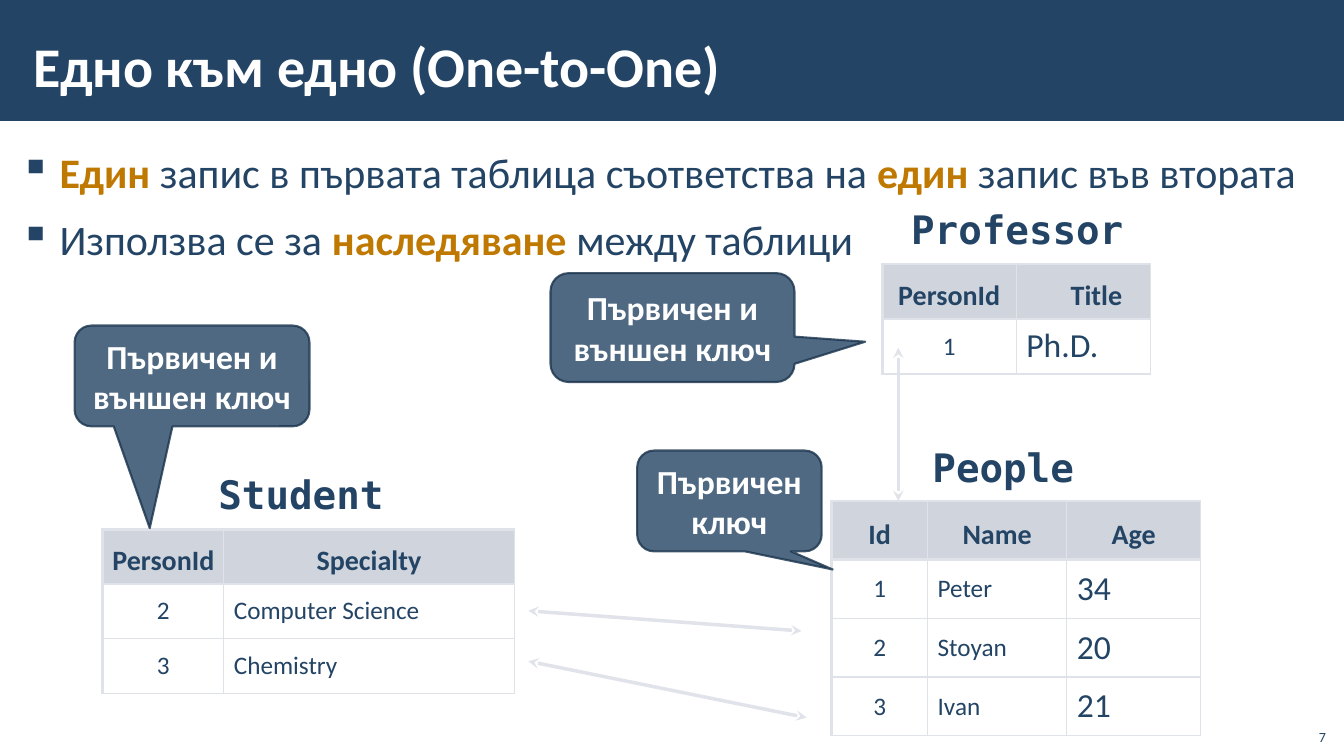
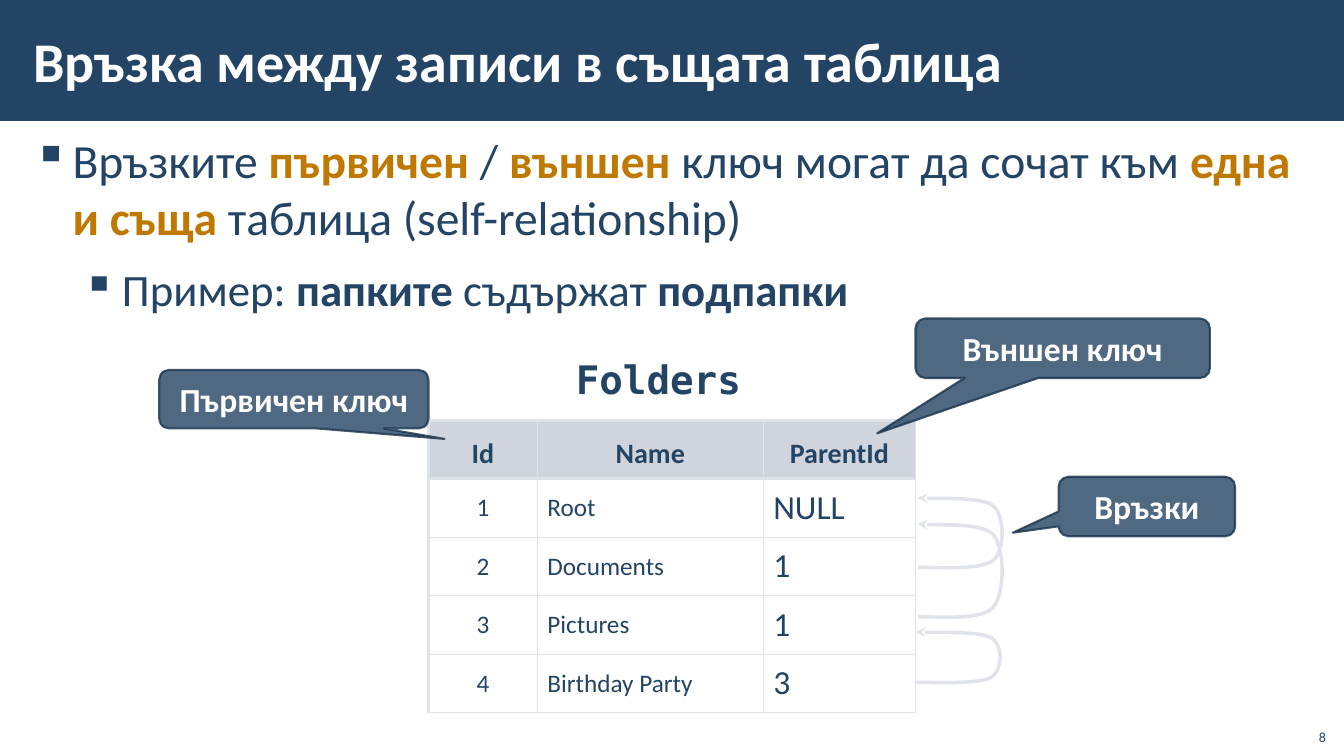
from dataclasses import dataclass

from lxml.etree import SubElement
from pptx import Presentation
from pptx.dml.color import RGBColor
from pptx.enum.shapes import MSO_CONNECTOR, MSO_SHAPE
from pptx.enum.text import MSO_ANCHOR, MSO_AUTO_SIZE, PP_ALIGN
from pptx.oxml.ns import qn
from pptx.util import Inches, Pt


@dataclass(frozen=True)
class Theme:
    navy: str = "234465"
    outline: str = "1A334C"
    gold: str = "BF7800"
    white: str = "FFFFFF"
    header: str = "D0D4DC"
    border: str = "DFE2E9"
    arrow: str = "E0E3E9"
    font: str = "Calibri"
    mono: str = "DejaVu Sans Mono"
    title: int = 40
    label: int = 28
    callout: int = 24
    heading: int = 20
    cell: int = 18
    large_cell: int = 24
    number: int = 10
    thin: float = 1
    thick: float = 2.25
    arrow_width: float = 2.5


THEME = Theme()


@dataclass(frozen=True)
class Column:
    heading: str
    width: float
    size: int = THEME.cell
    indent: float = 0


GOLD = {"bold": True, "color": THEME.gold}
BOLD = {"bold": True}
BOTH_KEYS = "Първичен и външен ключ"
PRIMARY_KEY = "Първичен ключ"
PLACEHOLDER_MARGINS = (0.12, 0.04, 0.12, 0.04)
BOX_MARGINS = (0.1, 0.05, 0.1, 0.05)

SLIDES = [
    {
        "number": 7,
        "title": ("Едно към едно (One-to-One)", (0.21, 0.16, 10.63, 0.97)),
        "body": (0.08, 1.41, 13.42, 6.09),
        # level, size, spans
        "bullets": [
            (0, 30, [("Един", GOLD), (" запис в първата таблица съответства на ", {}),
                     ("един", GOLD), (" запис във втората", {})]),
            (0, 30, [("Използва се за ", {}), ("наследяване", GOLD), (" между таблици", {})]),
        ],
        "arrows": [((5.24, 6.56), (8, 7.12)), ((5.24, 6.06), (7.95, 6.26)),
                   ((8.91, 4.97), (8.91, 3.45))],
        "loops": [],
        "tables": [
            {
                "name": ("People", (8.91, 4.4, 2.08, 0.53)),
                "at": (8.25, 4.97), "height": 2.33,
                "columns": [Column("Id", 0.95), Column("Name", 1.38),
                            Column("Age", 1.33, THEME.large_cell)],
                "rows": [("1", "Peter", "34"), ("2", "Stoyan", "20"), ("3", "Ivan", "21")],
            },
            {
                "name": ("Student", (2.02, 4.67, 1.93, 0.53)),
                "at": (1.02, 5.25), "height": 1.63,
                "columns": [Column("PersonId", 1.2), Column("Specialty", 2.88)],
                "rows": [("2", "Computer Science"), ("3", "Chemistry")],
            },
            {
                "name": ("Professor", (8.91, 2.04, 2.36, 0.53)),
                "at": (8.75, 2.62), "height": 1.09,
                "columns": [Column("PersonId", 1.33),
                            Column("Title", 1.33, THEME.large_cell, 0.26)],
                "rows": [("1", "Ph.D.")],
            },
        ],
        # text, place, pointer offset as a share of the size
        "callouts": [
            (PRIMARY_KEY, (6.32, 4.47, 1.83, 1), (0.56, 0.68)),
            (BOTH_KEYS, (5.46, 2.71, 2.42, 1.08), (0.79, 0.13)),
            (BOTH_KEYS, (0.74, 3.23, 2.33, 1), (-0.18, 1.51)),
        ],
    },
    {
        "number": 8,
        "title": ("Връзка между записи в същата таблица", (0.21, 0.11, 11.23, 0.97)),
        "body": (0.21, 1.26, 12.91, 6.09),
        "bullets": [
            (0, 34, [("Връзките ", {}), ("първичен", GOLD), (" / ", {}), ("външен", GOLD),
                     (" ключ могат да сочат към ", {}), ("една и съща", GOLD),
                     (" таблица (self-relationship)", {})]),
            (1, 32, [("Пример: ", {}), ("папките", BOLD), (" съдържат ", {}),
                     ("подпапки", BOLD)]),
        ],
        "arrows": [],
        # left, top, height
        "loops": [(9.1, 5.2, 0.92), (9.1, 4.94, 0.69), (9.08, 6.27, 0.5)],
        "tables": [
            {
                "name": ("Folders", (5.49, 3.53, 2.08, 0.53)),
                "at": (4.25, 4.17), "height": 2.9,
                "columns": [Column("Id", 1.08), Column("Name", 2.24),
                            Column("ParentId", 1.51, THEME.large_cell)],
                "rows": [("1", "Root", "NULL"), ("2", "Documents", "1"),
                         ("3", "Pictures", "1"), ("4", "Birthday Party", "3")],
            },
        ],
        "callouts": [
            (PRIMARY_KEY, (1.58, 3.67, 2.67, 0.58), (0.56, 0.68)),
            ("Външен ключ", (9.08, 3.16, 2.92, 0.59), (-0.63, 1.43)),
            ("Връзки", (10.5, 4.73, 1.75, 0.59), (-0.76, 0.44)),
        ],
    },
]

# Bezier pieces: x in inches, y as a share of the loop's height
LOOP_CURVES = [
    ((0.01, 1), (0.13, 0.99), (0.62, 1.05), (0.75, 0.9)),
    ((0.75, 0.9), (0.87, 0.75), (0.87, 0.26), (0.75, 0.11)),
    ((0.75, 0.11), (0.62, -0.03), (0.16, 0.02), (0, 0)),
]
CURVE_STEPS = 12


def inches(values):
    return [Inches(value) for value in values]


def rgb(color):
    return RGBColor.from_string(color)


def write(para, spans, size, color=THEME.navy, bold=False, font=THEME.font,
          align=PP_ALIGN.LEFT):
    """Fill a paragraph with a string or with (text, format) spans."""
    para.alignment = align
    for text, style in [(spans, {})] if isinstance(spans, str) else spans:
        span = para.add_run()
        span.text = text
        span.font.name = font
        span.font.size = Pt(size)
        span.font.bold = style.get("bold", bold)
        span.font.color.rgb = rgb(style.get("color", color))


def set_frame(frame, margins=BOX_MARGINS, anchor=MSO_ANCHOR.TOP, fit=MSO_AUTO_SIZE.NONE):
    frame.word_wrap = True
    frame.auto_size = fit
    frame.vertical_anchor = anchor
    (frame.margin_left, frame.margin_top,
     frame.margin_right, frame.margin_bottom) = inches(margins)


def add_text(page, place, **frame_format):
    frame = page.shapes.add_textbox(*inches(place)).text_frame
    set_frame(frame, **frame_format)
    return frame


def add_band(page, layout, width):
    """Put the title band on the layout, behind everything else."""
    band = page.shapes.add_shape(MSO_SHAPE.RECTANGLE, 0, 0, width, Inches(1.2))
    band.shadow.inherit = False
    band.fill.solid()
    band.fill.fore_color.rgb = rgb(THEME.navy)
    band.line.fill.background()
    layout.shapes.element.insert(2, band.element)


def set_title(page, text, place):
    title = page.shapes.title
    title.left, title.top, title.width, title.height = inches(place)
    set_frame(title.text_frame, PLACEHOLDER_MARGINS, MSO_ANCHOR.MIDDLE)
    write(title.text_frame.paragraphs[0], text, THEME.title, THEME.white, bold=True)


def add_bullets(page, place, bullets):
    frame = add_text(page, place, margins=PLACEHOLDER_MARGINS)
    for index, (level, size, spans) in enumerate(bullets):
        para = frame.add_paragraph() if index else frame.paragraphs[0]
        para.level = level
        properties = para._p.get_or_add_pPr()
        properties.set("marL", str(Inches(0.39 + 0.49 * level)))
        properties.set("indent", str(Inches(-0.39)))
        color = SubElement(properties, qn("a:buClr"))
        SubElement(color, qn("a:srgbClr"), val=THEME.navy)
        SubElement(properties, qn("a:buChar"), char="▪")
        para.space_before = Pt(6 if index else 0)
        para.space_after = Pt(6)
        write(para, spans, size)


def style_arrow(line, *ends):
    line.color.rgb = rgb(THEME.arrow)
    line.width = Pt(THEME.arrow_width)
    for end in ends:
        SubElement(line._get_or_add_ln(), qn(f"a:{end}"), type="stealth")


def add_arrow(page, start, finish):
    arrow = page.shapes.add_connector(MSO_CONNECTOR.STRAIGHT, *inches(start + finish))
    style_arrow(arrow.line, "headEnd", "tailEnd")
    SubElement(arrow.element.spPr, qn("a:effectLst"))


def bezier(points, t):
    weights = ((1 - t) ** 3, 3 * t * (1 - t) ** 2, 3 * t * t * (1 - t), t ** 3)
    return [sum(w * point[axis] for w, point in zip(weights, points)) for axis in (0, 1)]


def add_loop(page, left, top, height):
    steps = [LOOP_CURVES[0][0]] + [bezier(curve, step / CURVE_STEPS) for curve in LOOP_CURVES
                                   for step in range(1, CURVE_STEPS + 1)]
    points = [inches((left + x, top + y * height)) for x, y in steps]
    builder = page.shapes.build_freeform(*points[0])
    builder.add_line_segments(points[1:], close=False)
    loop = builder.convert_to_shape()
    loop.shadow.inherit = False
    loop.fill.background()
    style_arrow(loop.line, "tailEnd")


def set_borders(cell, **widths):
    properties = cell._tc.get_or_add_tcPr()
    for index, side in enumerate("LRTB"):
        line = properties.makeelement(qn(f"a:ln{side}"), {"w": str(Pt(widths[side]))})
        fill = SubElement(line, qn("a:solidFill"))
        SubElement(fill, qn("a:srgbClr"), val=THEME.border)
        properties.insert(index, line)


def add_grid(page, name, at, height, columns, rows):
    label, place = name
    para = add_text(page, place, fit=MSO_AUTO_SIZE.SHAPE_TO_FIT_TEXT).paragraphs[0]
    para.line_spacing = 0.9
    write(para, label, THEME.label, bold=True, font=THEME.mono, align=PP_ALIGN.CENTER)

    width = sum(column.width for column in columns)
    lines = [[column.heading for column in columns], *rows]
    grid = page.shapes.add_table(len(lines), len(columns),
                                 *inches((*at, width, height))).table
    grid.first_row = grid.horz_banding = False
    for column, grid_column in zip(columns, grid.columns):
        grid_column.width = Inches(column.width)
    for row, texts in enumerate(lines):
        grid.rows[row].height = Inches(height / len(lines))
        for position, (column, text) in enumerate(zip(columns, texts)):
            cell = grid.cell(row, position)
            heading = row == 0
            margins = (column.indent, 0.09, 0, 0) if heading else BOX_MARGINS
            (cell.margin_left, cell.margin_top,
             cell.margin_right, cell.margin_bottom) = inches(margins)
            cell.vertical_anchor = MSO_ANCHOR.MIDDLE
            if heading:
                cell.fill.solid()
                cell.fill.fore_color.rgb = rgb(THEME.header)
            else:
                cell.fill.background()
            centred = heading or position == 0
            write(cell.text_frame.paragraphs[0], text,
                  THEME.heading if heading else column.size, bold=heading,
                  align=PP_ALIGN.CENTER if centred else PP_ALIGN.LEFT)
            set_borders(cell, L=THEME.thin if position else THEME.thick, R=THEME.thin,
                        T=THEME.thick if row < 2 else THEME.thin,
                        B=THEME.thick if heading else THEME.thin)


def add_callout(page, text, place, pointer):
    box = page.shapes.add_shape(MSO_SHAPE.ROUNDED_RECTANGULAR_CALLOUT, *inches(place))
    box.adjustments[0], box.adjustments[1] = pointer
    box.shadow.inherit = False
    box.fill.solid()
    box.fill.fore_color.rgb = rgb(THEME.navy)
    box.line.color.rgb = rgb(THEME.outline)
    box.line.width = Pt(1.5)
    for color in box.element.spPr.iter(qn("a:srgbClr")):
        SubElement(color, qn("a:alpha"), val="80000")
    set_frame(box.text_frame, anchor=MSO_ANCHOR.MIDDLE)
    write(box.text_frame.paragraphs[0], text, THEME.callout, THEME.white, bold=True,
          align=PP_ALIGN.CENTER)


def add_page_number(page, number):
    frame = add_text(page, (12.85, 7.12, 0.4, 0.32), anchor=MSO_ANCHOR.BOTTOM)
    write(frame.paragraphs[0], str(number), THEME.number, align=PP_ALIGN.RIGHT)


def main():
    deck = Presentation()
    deck.slide_width, deck.slide_height = inches((13.33, 7.5))
    layout = deck.slide_layouts[5]
    for index, content in enumerate(SLIDES):
        page = deck.slides.add_slide(layout)
        if index == 0:
            add_band(page, layout, deck.slide_width)
        set_title(page, *content["title"])
        add_bullets(page, content["body"], content["bullets"])
        for arrow in content["arrows"]:
            add_arrow(page, *arrow)
        for loop in content["loops"]:
            add_loop(page, *loop)
        for table in content["tables"]:
            add_grid(page, **table)
        for callout in content["callouts"]:
            add_callout(page, *callout)
        add_page_number(page, content["number"])
    deck.save("out.pptx")


if __name__ == "__main__":
    main()
